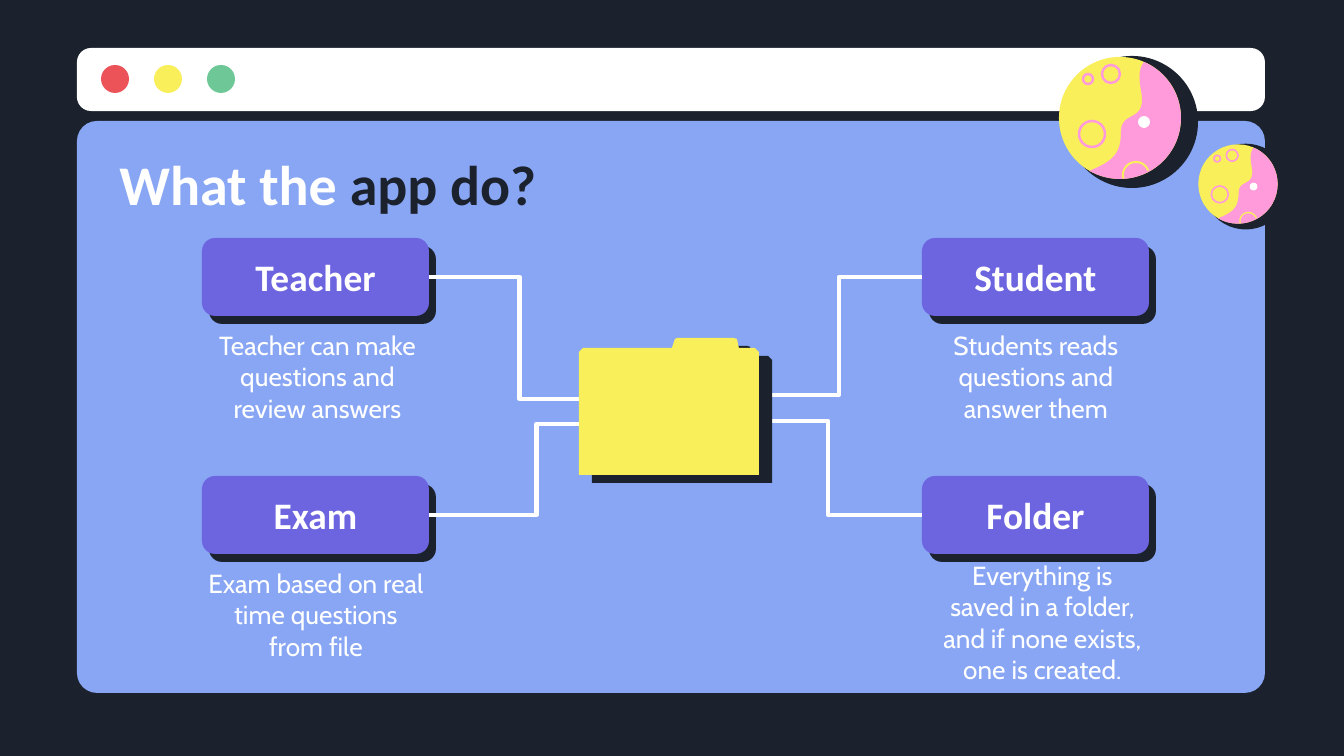
import math
from lxml import etree
from pptx import Presentation
from pptx import util as u
from pptx.dml.color import RGBColor
from pptx.enum import shapes, text
from pptx.oxml.ns import qn

# Content: columns and rows place the cards; captions are (left, top, width)
TITLE = [("What the ", "white"), ("app do?", "dark")]
CARDS = [
    dict(label="Teacher", col=0, row=0, caption=(202, 316, 231), meets=(610, 399),
         words="Teacher can make questions and review answers"),
    dict(label="Exam", col=0, row=1, caption=(195, 554, 242), meets=(644, 424),
         words="Exam based on real time questions from file"),
    dict(label="Student", col=1, row=0, caption=(936, 316, 200), meets=(756, 395),
         words="Students reads questions and answer them"),
    dict(label="Folder", col=1, row=1, caption=(929, 546, 227), meets=(734, 421),
         words="Everything is saved in a folder, and if none exists, one is created."),
]
COLS, ROWS = (202, 922), (238, 476)
CARD_W, CARD_H = 227, 78
WINDOW_DOTS = ["red", "yellow", "green"]
PLANETS = [(1120, 118, 1), (1238, 184, 0.65)]  # centre and scale
PLANET_R = 61
CRATERS = [(-9, -44, 9), (-28, 16, 13), (-32, -39, 5)]
# Border between the two planet colours, as cubic curves from its lower end
LAND_EDGE = [
    ((-31, 53), (-6, 43), (1, 35), (1, 14)),
    ((1, 14), (1, -9), (28, 6), (21, -28)),
    ((21, -28), (18, -43), (20, -51), (24, -56)),
]
FOLDER = [(579, 352), (583, 348), (672, 348), (675, 339), (677, 338), (734, 338),
          (737, 339), (739, 348), (755, 348), (759, 352), (759, 475), (579, 475)]

THEME = dict(
    white="FFFFFF", dark="1B222D", blue="88A6F3", purple="6D65E0", pink="FF9BDA",
    red="EB5358", yellow="F8EF5B", green="6DC797",
    head="Calibri", body="Cabin", title=30, label=20, caption=14,
)
SLIDE_W, SLIDE_H = 1344, 756
PX = 9144000 / SLIDE_W


def px(*lengths):
    return [u.Emu(round(n * PX)) for n in lengths]


def color(name):
    return RGBColor.from_string(THEME[name])


def paint(shape, fill=None, line=None, width=2):
    shape.shadow.inherit = False
    if fill:
        shape.fill.solid()
        shape.fill.fore_color.rgb = color(fill)
    else:
        shape.fill.background()
    if line:
        shape.line.color.rgb = color(line)
        shape.line.width = px(width)[0]
    else:
        shape.line.fill.background()
    return shape


def rounded(x, y, w, h, fill, corner):
    shape = slide.shapes.add_shape(shapes.MSO_SHAPE.ROUNDED_RECTANGLE, *px(x, y, w, h))
    shape.adjustments[0] = corner
    return paint(shape, fill)


def circle(x, y, r, fill=None, line=None, width=2):
    box = px(x - r, y - r, 2 * r, 2 * r)
    return paint(slide.shapes.add_shape(shapes.MSO_SHAPE.OVAL, *box), fill, line, width)


def outline(points, fill=None, line=None, width=2, close=True):
    start, *rest = [px(*p) for p in points]
    builder = slide.shapes.build_freeform(*start)
    builder.add_line_segments(rest, close=close)
    return paint(builder.convert_to_shape(), fill, line, width)


def arc(x, y, r, first, last, step=5):
    angles = [math.radians(a) for a in range(first, last + 1, step)]
    return [(x + r * math.cos(a), y + r * math.sin(a)) for a in angles]


def curve(a, b, c, d, steps=12):
    points = []
    for i in range(steps + 1):
        t = i / steps
        s = 1 - t
        weights = s ** 3, 3 * s * s * t, 3 * s * t * t, t ** 3
        points.append(tuple(sum(k * p[n] for k, p in zip(weights, (a, b, c, d)))
                            for n in (0, 1)))
    return points


def planet(cx, cy, scale):
    def at(points):
        return [(cx + x * scale, cy + y * scale) for x, y in points]

    def disc(x, y, r, fill=None, line=None):
        circle(*at([(x, y)])[0], r * scale, fill, line, 2.5 * scale)

    disc(12, 4, 66, "dark")
    disc(0, 0, PLANET_R, "yellow")
    for crater in CRATERS:
        disc(*crater, line="pink")
    land = [p for part in LAND_EDGE for p in curve(*part)]
    outline(at(land + arc(0, 0, PLANET_R, -67, 120)), "pink")
    outline(at(arc(16, 57, 13, 165, 340)), line="yellow", width=2 * scale, close=False)
    disc(24, 4, 6, "white")


def style(run, font, size, name="white", bold=False):
    run.font.name, run.font.size, run.font.bold = THEME[font], u.Pt(THEME[size]), bold
    run.font.color.rgb = color(name)


def write(shape, words, font, size, anchor, bold=False):
    frame = shape.text_frame
    frame.text = words
    frame.word_wrap = True
    frame.vertical_anchor = anchor
    frame.margin_left = frame.margin_right = u.Inches(0.1)
    frame.margin_top = frame.margin_bottom = u.Inches(0.1)
    paragraph = frame.paragraphs[0]
    paragraph.alignment = text.PP_ALIGN.CENTER
    for run in paragraph.runs:
        style(run, font, size, bold=bold)
    return paragraph


deck = Presentation()
deck.slide_width, deck.slide_height = px(SLIDE_W, SLIDE_H)
slide = deck.slides.add_slide(deck.slide_layouts[5])
slide.background.fill.solid()
slide.background.fill.fore_color.rgb = color("dark")

# Browser window
rounded(77, 121, 1188, 572, "blue", 0.035)
rounded(77, 48, 1188, 63, "white", 0.223)
for i, dot in enumerate(WINDOW_DOTS):
    circle(115 + 53 * i, 79, 14, dot)
for place in PLANETS:
    planet(*place)

# Title, raised above the window
title = slide.shapes.title
title.element.getparent().append(title.element)
title.left, title.top, title.width, title.height = px(106, 142, 1133, 83)
heading = write(title, "", "head", "title", text.MSO_ANCHOR.MIDDLE)
heading.alignment = text.PP_ALIGN.LEFT
for words, name in TITLE:
    run = heading.add_run()
    run.text = words
    style(run, "head", "title", name, bold=True)

# Cards with their captions
plates = []
for card in CARDS:
    x, y = COLS[card["col"]], ROWS[card["row"]]
    rounded(x + 7, y + 8, CARD_W, CARD_H, "dark", 0.167)
    plate = rounded(x, y, CARD_W, CARD_H, "purple", 0.167)
    write(plate, card["label"], "head", "label", text.MSO_ANCHOR.MIDDLE, bold=True)
    caption = slide.shapes.add_textbox(*px(*card["caption"], 112))
    write(caption, card["words"], "body", "caption", text.MSO_ANCHOR.TOP)
    plates.append(plate)

# Connectors from each card's inner side to the folder
for card, plate in zip(CARDS, plates):
    left_side = card["col"] == 0
    start = COLS[card["col"]] + CARD_W * left_side, ROWS[card["row"]] + CARD_H / 2
    link = slide.shapes.add_connector(shapes.MSO_CONNECTOR.ELBOW,
                                      *px(*start, *card["meets"]))
    link.begin_connect(plate, 3 if left_side else 1)
    link.line.color.rgb = color("white")
    link.line.width = u.Pt(2.25)
    etree.SubElement(link.element.spPr, qn("a:effectLst"))

# Folder with a hard offset shadow
folder = outline(FOLDER, "yellow")
effects = folder.element.spPr.find(qn("a:effectLst"))
shadow = etree.SubElement(effects, qn("a:outerShdw"), blurRad="0", dist="104140",
                          dir="1860000", algn="bl", rotWithShape="0")
etree.SubElement(shadow, qn("a:srgbClr"), val=THEME["dark"])

deck.save("out.pptx")
